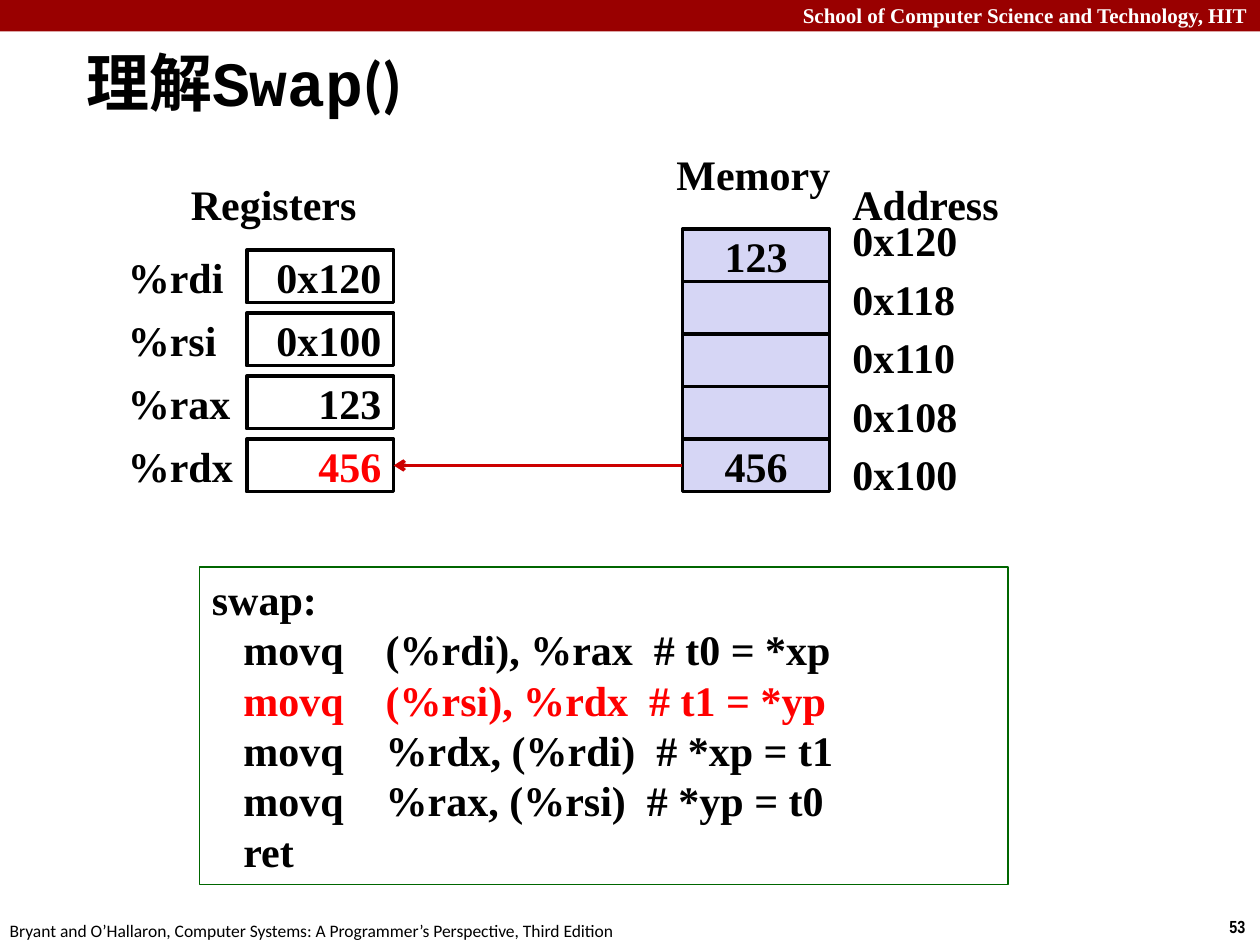
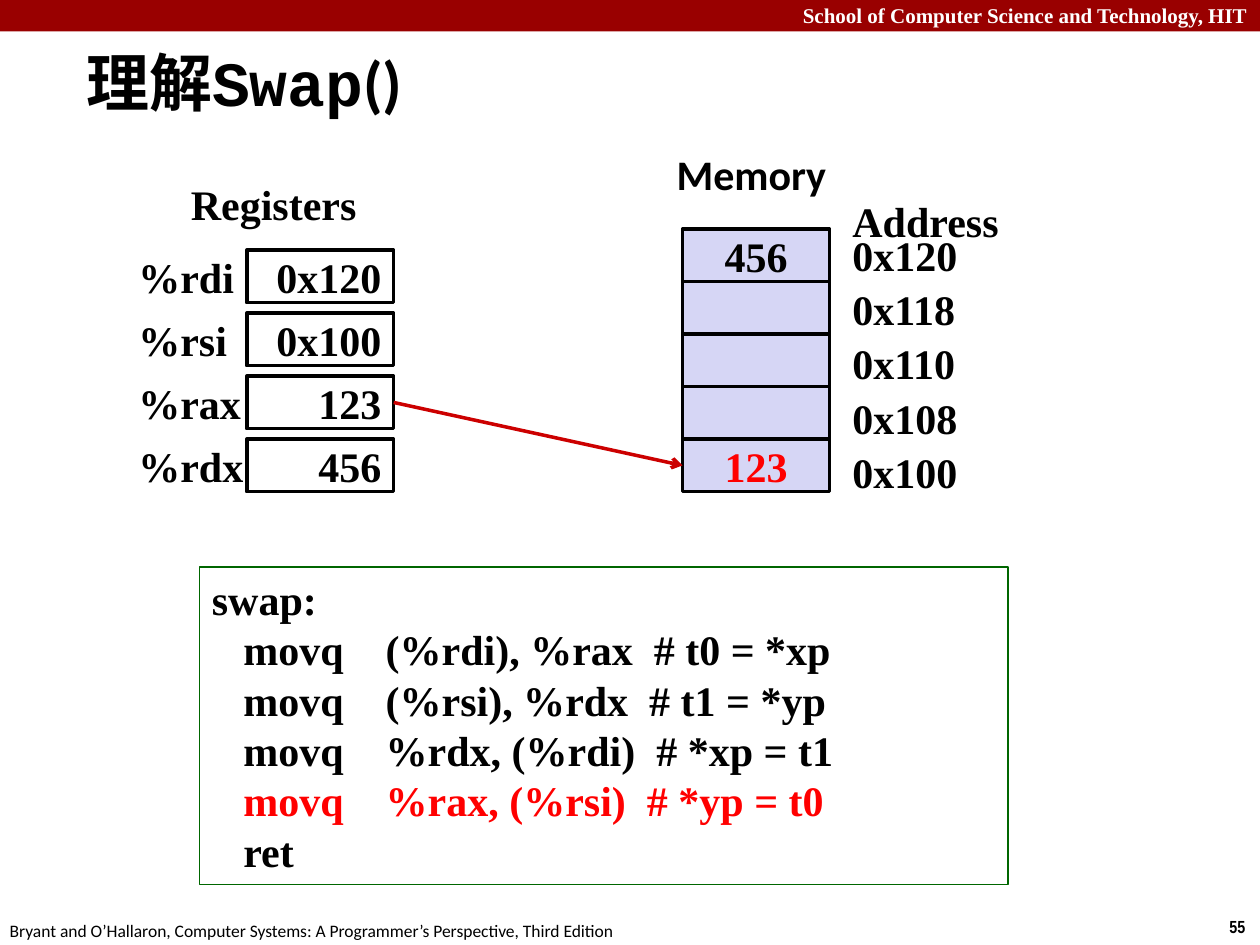
"""Build two slides that follow swap() through registers and memory."""

from dataclasses import dataclass
from typing import Optional

from lxml.etree import SubElement
from pptx import Presentation
from pptx.dml.color import RGBColor
from pptx.enum.shapes import MSO_CONNECTOR, MSO_SHAPE
from pptx.enum.text import MSO_ANCHOR, MSO_AUTO_SIZE, PP_ALIGN
from pptx.oxml.ns import qn
from pptx.presentation import Presentation as Deck
from pptx.shapes.autoshape import Shape
from pptx.shapes.connector import Connector
from pptx.slide import Slide
from pptx.text.text import TextFrame, _Paragraph
from pptx.util import Pt

BLACK = RGBColor(0x00, 0x00, 0x00)
WHITE = RGBColor(0xFF, 0xFF, 0xFF)
BAND_RED = RGBColor(0x99, 0x00, 0x00)
ARROW_RED = RGBColor(0xCC, 0x00, 0x00)
HIGHLIGHT = RGBColor(0xFF, 0x00, 0x00)
MEMORY_FILL = RGBColor(0xD6, 0xD6, 0xF5)
CODE_GREEN = RGBColor(0x00, 0x66, 0x00)

SERIF = "Times New Roman"
SANS = "Calibri"
MONO = "Courier New"
NARROW = "Arial Narrow"

TITLE_ONLY = 5
RIGHT_SIDE, LEFT_SIDE = 3, 1
CELL_WIDTH, CELL_HEIGHT = 84, 30
REGISTER_LEFT, REGISTER_TOP, REGISTER_PITCH = 141, 143, 36
MEMORY_LEFT, MEMORY_TOP = 390, 131
ADDRESS_LEFT, ADDRESS_WIDTH = 480, 126

TITLE_RUNS = (("理解", SANS), ("Swap", MONO), ("()", SANS))
REGISTERS = ("%rdi", "%rsi", "%rax", "%rdx")
REGISTER_VALUES = ("0x120", "0x100", "123", "456")
ADDRESSES = ("0x120", "0x118", "0x110", "0x108", "0x100")
CODE_LINES = (
    "swap:",
    "   movq    (%rdi), %rax  # t0 = *xp",
    "   movq    (%rsi), %rdx  # t1 = *yp",
    "   movq    %rdx, (%rdi)  # *xp = t1",
    "   movq    %rax, (%rsi)  # *yp = t0",
    "   ret",
)


@dataclass(frozen=True)
class Box:
    """A rectangle in points."""

    left: float
    top: float
    width: float
    height: float

    def lengths(self) -> tuple[Pt, Pt, Pt, Pt]:
        """Return position and size as lengths."""
        return Pt(self.left), Pt(self.top), Pt(self.width), Pt(self.height)


@dataclass(frozen=True)
class TextStyle:
    """The look of one piece of text."""

    size: float = 24
    font: str = SERIF
    color: RGBColor = BLACK
    bold: bool = True
    align: PP_ALIGN = PP_ALIGN.LEFT


@dataclass(frozen=True)
class SwapStep:
    """What differs between one step of swap() and another."""

    number: str
    memory: tuple[str, ...]
    label_left: float
    memory_font: str
    memory_heading_width: float
    address_top: float
    address_pitch: float
    address_height: float
    address_heading: Box
    code_line: int
    arrow_register: int
    loads_register: bool


STEPS = (
    SwapStep("53", ("123", "", "", "", "456"), 66, SERIF, 103, 119, 33.5, 39,
             Box(ADDRESS_LEFT, 98.5, ADDRESS_WIDTH, 70), 2, 3, True),
    SwapStep("55", ("456", "", "", "", "123"), 72, SANS, 101, 127.5, 31, 36,
             Box(ADDRESS_LEFT, 108, ADDRESS_WIDTH, 65.5), 4, 2, False),
)


def add_run(paragraph: _Paragraph, text: str, style: TextStyle) -> None:
    """Add one styled run."""
    run = paragraph.add_run()
    run.text = text
    run.font.size = Pt(style.size)
    run.font.name = style.font
    run.font.bold = style.bold
    run.font.color.rgb = style.color


def write_line(frame: TextFrame, text: str, style: TextStyle) -> None:
    """Write one line into an empty text frame."""
    paragraph = frame.paragraphs[0]
    paragraph.alignment = style.align
    add_run(paragraph, text, style)


def add_text(slide: Slide, box: Box, text: str, style: TextStyle,
             wrap: bool = False) -> None:
    """Add a text box with one line."""
    frame = slide.shapes.add_textbox(*box.lengths()).text_frame
    frame.word_wrap = wrap
    write_line(frame, text, style)


def add_rectangle(slide: Slide, box: Box, fill: Optional[RGBColor],
                  line: Optional[RGBColor] = None, width: float = 2) -> Shape:
    """Add a rectangle without shadow."""
    shape = slide.shapes.add_shape(MSO_SHAPE.RECTANGLE, *box.lengths())
    shape.shadow.inherit = False
    if fill is None:
        shape.fill.background()
    else:
        shape.fill.solid()
        shape.fill.fore_color.rgb = fill
    if line is None:
        shape.line.fill.background()
    else:
        shape.line.color.rgb = line
        shape.line.width = Pt(width)
    return shape


def add_cell(slide: Slide, box: Box, text: str, style: TextStyle,
             fill: RGBColor, line: Optional[RGBColor] = BLACK) -> Shape:
    """Add a rectangle with a line of text in its middle."""
    shape = add_rectangle(slide, box, fill, line)
    frame = shape.text_frame
    frame.vertical_anchor = MSO_ANCHOR.MIDDLE
    if style.align == PP_ALIGN.LEFT:
        frame.margin_right = 0
    if text:
        write_line(frame, text, style)
    return shape


def add_arrow(slide: Slide, source: Shape, source_side: int,
              target: Shape, target_side: int) -> Connector:
    """Join two cells with a red arrow."""
    connector = slide.shapes.add_connector(MSO_CONNECTOR.STRAIGHT, 0, 0, 0, 0)
    connector.begin_connect(source, source_side)
    connector.end_connect(target, target_side)
    connector.line.color.rgb = ARROW_RED
    connector.line.width = Pt(2)
    properties = connector.element.spPr
    SubElement(properties.find(qn("a:ln")), qn("a:tailEnd"), type="arrow")
    SubElement(properties, qn("a:effectLst"))
    return connector


def add_frame(slide: Slide, number: str) -> None:
    """Draw the band, footer and slide number."""
    add_rectangle(slide, Box(0, 0, 720, 18), BAND_RED)
    add_text(slide, Box(0, -2, 720, 21.5),
             "School of Computer Science and Technology, HIT",
             TextStyle(12, color=WHITE, align=PP_ALIGN.RIGHT), wrap=True)
    add_text(slide, Box(695.5, 520, 24.5, 19.5), number, TextStyle(10, NARROW))
    add_text(slide, Box(-1.5, 522, 366, 19.5),
             "Bryant and O’Hallaron, Computer Systems: "
             "A Programmer’s Perspective, Third Edition",
             TextStyle(10, SANS, bold=False))


def set_title(slide: Slide) -> None:
    """Place and write the title."""
    title = slide.shapes.title
    title.left, title.top, title.width, title.height = Box(42, 24, 502, 45).lengths()
    frame = title.text_frame
    frame.auto_size = MSO_AUTO_SIZE.NONE
    frame.vertical_anchor = MSO_ANCHOR.MIDDLE
    paragraph = frame.paragraphs[0]
    paragraph.alignment = PP_ALIGN.LEFT
    for text, font in TITLE_RUNS:
        add_run(paragraph, text, TextStyle(36, font))


def add_memory(slide: Slide, step: SwapStep) -> list[Shape]:
    """Draw the memory column and return its cells."""
    cells = []
    for index, value in enumerate(step.memory):
        box = Box(MEMORY_LEFT, MEMORY_TOP + index * CELL_HEIGHT,
                  CELL_WIDTH, CELL_HEIGHT)
        changed = not step.loads_register and index == len(step.memory) - 1
        style = TextStyle(color=HIGHLIGHT if changed else BLACK,
                          align=PP_ALIGN.CENTER)
        cells.append(add_cell(slide, box, value, style, MEMORY_FILL))
    add_text(slide, Box(379.5, 81.5, step.memory_heading_width, 36), "Memory",
             TextStyle(font=step.memory_font))
    return cells


def add_registers(slide: Slide, step: SwapStep) -> list[Shape]:
    """Draw the named registers and return their cells."""
    cells = []
    for index, (name, value) in enumerate(zip(REGISTERS, REGISTER_VALUES)):
        top = REGISTER_TOP + index * REGISTER_PITCH
        label = Box(step.label_left, top, REGISTER_LEFT - step.label_left, CELL_HEIGHT)
        add_cell(slide, label, name, TextStyle(), WHITE, None)
        changed = step.loads_register and index == step.arrow_register
        style = TextStyle(color=HIGHLIGHT if changed else BLACK,
                          align=PP_ALIGN.RIGHT)
        box = Box(REGISTER_LEFT, top, CELL_WIDTH, CELL_HEIGHT)
        cells.append(add_cell(slide, box, value, style, WHITE))
    add_text(slide, Box(102, 98.5, 110, 36), "Registers", TextStyle())
    return cells


def add_addresses(slide: Slide, step: SwapStep) -> None:
    """List the memory addresses under their heading."""
    for index, address in enumerate(ADDRESSES):
        box = Box(ADDRESS_LEFT, step.address_top + index * step.address_pitch,
                  ADDRESS_WIDTH, step.address_height)
        add_text(slide, box, address, TextStyle(), wrap=True)
    add_text(slide, step.address_heading, "Address", TextStyle(), wrap=True)


def add_code(slide: Slide, highlighted: int) -> None:
    """Show the assembly code with the current line in red."""
    shape = add_rectangle(slide, Box(114, 324, 462, 181.5), None, CODE_GREEN, 1)
    frame = shape.text_frame
    frame.vertical_anchor = MSO_ANCHOR.TOP
    for index, line in enumerate(CODE_LINES):
        paragraph = frame.add_paragraph() if index else frame.paragraphs[0]
        paragraph.alignment = PP_ALIGN.LEFT
        paragraph.line_spacing = Pt(28.8)
        color = HIGHLIGHT if index == highlighted else BLACK
        add_run(paragraph, line, TextStyle(color=color))


def add_step(presentation: Deck, step: SwapStep) -> None:
    """Build the slide for one step."""
    slide = presentation.slides.add_slide(presentation.slide_layouts[TITLE_ONLY])
    add_frame(slide, step.number)
    set_title(slide)
    memory_cell = add_memory(slide, step)[-1]
    register_cell = add_registers(slide, step)[step.arrow_register]
    if step.loads_register:
        add_arrow(slide, memory_cell, LEFT_SIDE, register_cell, RIGHT_SIDE)
    else:
        add_arrow(slide, register_cell, RIGHT_SIDE, memory_cell, LEFT_SIDE)
    add_code(slide, step.code_line)
    add_addresses(slide, step)


def main() -> None:
    """Build and save the presentation."""
    presentation = Presentation()
    presentation.slide_width = Pt(720)
    presentation.slide_height = Pt(540)
    for step in STEPS:
        add_step(presentation, step)
    presentation.save("out.pptx")


if __name__ == "__main__":
    main()
